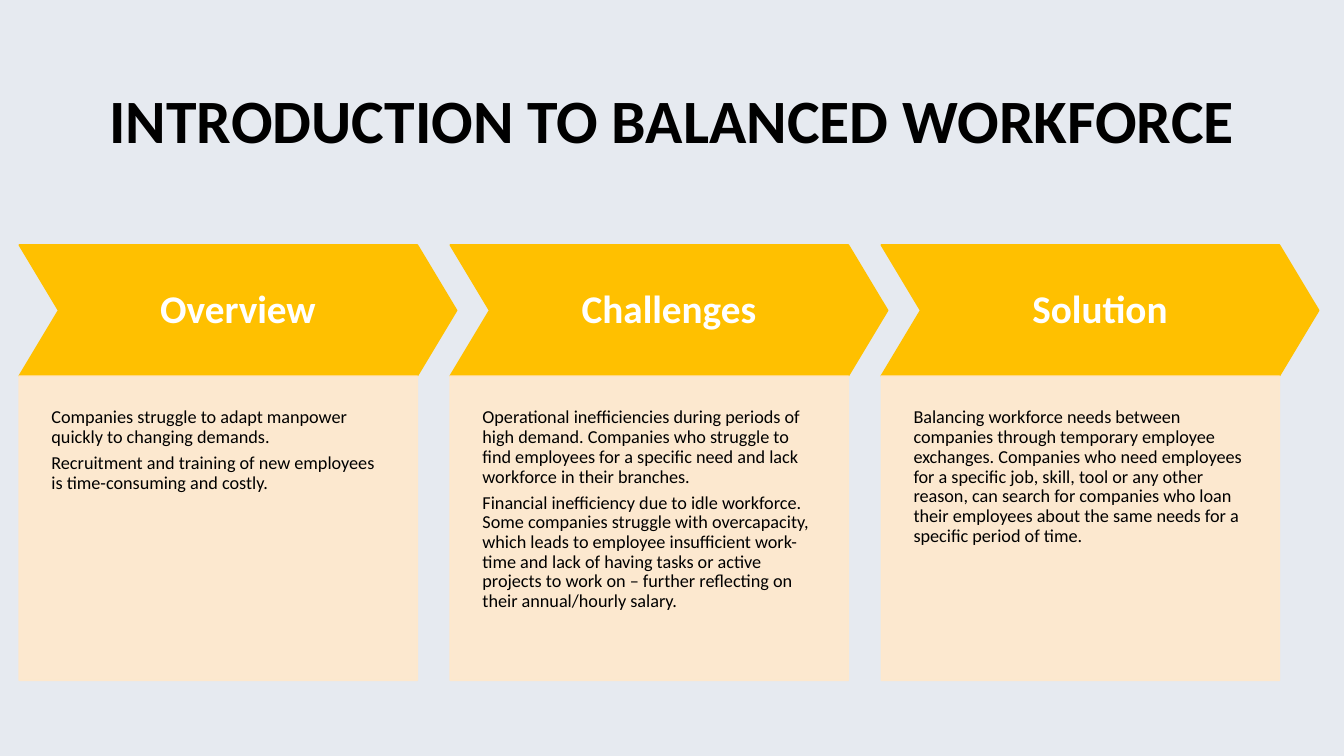
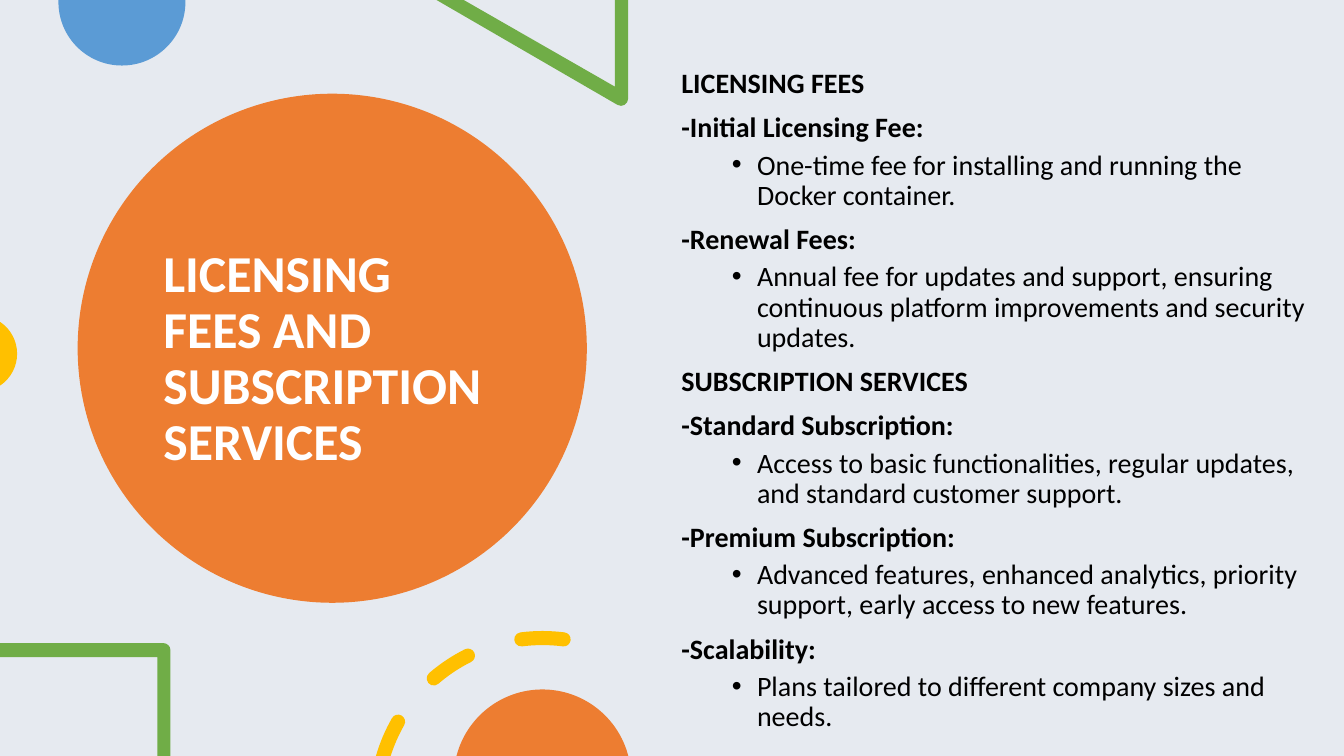
from math import ceil, cos, radians, sin, tan

from lxml.etree import SubElement
from pptx import Presentation
from pptx.dml.color import RGBColor
from pptx.enum.shapes import MSO_SHAPE as Preset
from pptx.enum.text import MSO_ANCHOR as Anchor, MSO_AUTO_SIZE as AutoSize, PP_ALIGN as Align
from pptx.oxml.ns import qn
from pptx.util import Inches, Pt

BACKGROUND = RGBColor(0xE6, 0xEA, 0xF0)
BLACK = RGBColor(0x00, 0x00, 0x00)
WHITE = RGBColor(0xFF, 0xFF, 0xFF)
GOLD = RGBColor(0xFF, 0xC0, 0x00)
CREAM = RGBColor(0xFF, 0xE8, 0xCC)
ORANGE = RGBColor(0xED, 0x7D, 0x31)
BLUE = RGBColor(0x5B, 0x9B, 0xD5)
GREEN = RGBColor(0x70, 0xAD, 0x47)
FONT = "Calibri"
LINE_SPACING = 0.9

STAGES = [
    ("Overview", [
        "Companies struggle to adapt manpower quickly to changing demands.",
        "Recruitment and training of new employees is time-consuming and costly.",
    ]),
    ("Challenges", [
        "Operational inefficiencies during periods of high demand. Companies who struggle to find "
        "employees for a specific need and lack workforce in their branches.",
        "Financial inefficiency due to idle workforce. Some companies struggle with overcapacity, "
        "which leads to employee insufficient work-time and lack of having tasks or active projects "
        "to work on – further reflecting on their annual/hourly salary.",
    ]),
    ("Solution", [
        "Balancing workforce needs between companies through temporary employee exchanges. "
        "Companies who need employees for a specific job, skill, tool or any other reason, can "
        "search for companies who loan their employees about the same needs for a specific period "
        "of time.",
    ]),
]

FEES = [
    ("LICENSING FEES", [
        ("-Initial Licensing Fee:", "One-time fee for installing and running the Docker container."),
        ("-Renewal Fees:", "Annual fee for updates and support, ensuring continuous platform "
                           "improvements and security updates."),
    ]),
    ("SUBSCRIPTION SERVICES", [
        ("-Standard Subscription:", "Access to basic functionalities, regular updates, and standard "
                                    "customer support."),
        ("-Premium Subscription:", "Advanced features, enhanced analytics, priority support, early "
                                   "access to new features."),
        ("-Scalability:", "Plans tailored to different company sizes and needs."),
    ]),
]


def style_paragraph(para, size, color, bold=False, align=Align.LEFT):
    """Give a paragraph the deck's font and line spacing."""
    para.alignment = align
    para.line_spacing = LINE_SPACING
    font = para.font
    font.name, font.size, font.bold = FONT, Pt(size), bold
    font.color.rgb = color


def next_paragraph(frame, text, space_before):
    """Append a paragraph, using the frame's empty first one if it is free."""
    para = frame.paragraphs[0]
    if para.text:
        para = frame.add_paragraph()
        para.space_before = Pt(space_before)
    para.text = text
    return para


def add_title(page, text, bounds, size, color, align=Align.LEFT):
    """Fill the title placeholder and bring it to the front."""
    title = page.shapes.title
    title.left, title.top, title.width, title.height = map(Inches, bounds)
    title.element.getparent().append(title.element)
    frame = title.text_frame
    frame.text = text
    frame.word_wrap = True
    frame.auto_size = AutoSize.NONE
    frame.vertical_anchor = Anchor.MIDDLE
    style_paragraph(frame.paragraphs[0], size, color, True, align)


def paint(shape, color, outlined=False):
    """Fill a shape flatly, with a matching outline on request."""
    shape.shadow.inherit = False
    shape.fill.solid()
    shape.fill.fore_color.rgb = color
    if outlined:
        shape.line.color.rgb = color
        shape.line.width = Pt(1)
    else:
        shape.line.fill.background()


def add_preset(page, preset, bounds, color, outlined=False):
    """Add a painted preset shape."""
    shape = page.shapes.add_shape(preset, *map(Inches, bounds))
    paint(shape, color, outlined)
    return shape


def set_opacity(shape, percent):
    """Make the fill and outline of a shape partly transparent."""
    for color in shape.element.spPr.iter(qn("a:srgbClr")):
        SubElement(color, qn("a:alpha"), val=str(percent * 1000))


def set_insets(frame, left, top, right, bottom):
    """Set the margins of a wrapped text frame."""
    frame.word_wrap = True
    frame.margin_left, frame.margin_top = Inches(left), Inches(top)
    frame.margin_right, frame.margin_bottom = Inches(right), Inches(bottom)


def add_stage(page, left, heading, texts):
    """Add a chevron heading with its text panel below."""
    chevron = add_preset(page, Preset.CHEVRON, (left, 2.43, 4.34, 1.3), GOLD, True)
    chevron.adjustments[0] = 0.3
    frame = chevron.text_frame
    set_insets(frame, 0.16, 0.16, 0.16, 0.16)
    frame.vertical_anchor = Anchor.MIDDLE
    frame.text = heading
    style_paragraph(frame.paragraphs[0], 28, WHITE, True, Align.CENTER)

    panel = add_preset(page, Preset.RECTANGLE, (left, 3.73, 3.95, 3.02), CREAM, True)
    set_opacity(panel, 90)
    frame = panel.text_frame
    set_insets(frame, 0.32, 0.32, 0.31, 0.62)
    frame.vertical_anchor = Anchor.TOP
    for text in texts:
        style_paragraph(next_paragraph(frame, text, 4.5), 13, BLACK)


def arc(x, y, radius, start, end):
    """Return a start point and Bézier triples; degrees run clockwise from the right."""
    pieces = ceil(abs(end - start) / 90)
    turn = radians(end - start) / pieces
    reach = radius * 4 / 3 * tan(turn / 4)

    def on_circle(angle, offset=0):
        """Return a circle point, moved along its tangent by an offset."""
        return (x + radius * cos(angle) - offset * sin(angle),
                y + radius * sin(angle) + offset * cos(angle))

    angles = [radians(start) + turn * piece for piece in range(pieces + 1)]
    return [on_circle(angles[0])] + [
        (on_circle(here, reach), on_circle(there, -reach), on_circle(there))
        for here, there in zip(angles, angles[1:])]


def add_outline(page, color, *contours):
    """Add one painted freeform; each step is a point or a Bézier triple."""
    def scaled(point):
        """Convert a point from inches."""
        return tuple(map(Inches, point))

    builder = page.shapes.build_freeform(*scaled(contours[0][0]), scale=1.0)
    curved = []
    for index, (first, *steps) in enumerate(contours):
        if index:
            builder.move_to(*scaled(first))
        points = []
        for step in steps:
            curved.append(len(step) == 3)
            points += map(scaled, step if curved[-1] else [step])
        builder.add_line_segments(points, close=True)
    shape = builder.convert_to_shape()
    segments = iter(list(shape.element.iter(qn("a:lnTo"))))
    for is_curve in curved:
        segment = next(segments)
        if is_curve:
            segment.tag = qn("a:cubicBezTo")
            for follower in (next(segments), next(segments)):
                segment.extend(list(follower))
                follower.getparent().remove(follower)
    paint(shape, color)


def ring_dash(start, end, clipped_start=None):
    """Outline a round-capped dash of the ring, or cut its start at the slide edge."""
    x, y, radius, half = 5.38, 7.98, 1.65, 0.07

    def cap(angle, turn):
        """Return the curves that round off one end."""
        center = (x + radius * cos(radians(angle)), y + radius * sin(radians(angle)))
        return arc(*center, half, turn, turn + 180)[1:]

    inner_start = start if clipped_start is None else clipped_start
    steps = arc(x, y, radius + half, start, end) + cap(end, end)
    steps += arc(x, y, radius - half, end, inner_start)[1:]
    if clipped_start is None:
        steps += cap(start, start + 180)
    return steps


def add_decorations(page):
    """Add the shapes that run in from the slide edges."""
    add_outline(page, BLUE, [(1.84, 0), (0.58, 0)] + arc(1.21, 0.02, 0.63, 180, 0))
    add_outline(page, GREEN, [(6.23, 0), (6.1, 0), (6.1, 0.86), (4.6, 0), (4.33, 0)]
                + arc(6.16, 0.98, 0.07, 120, 0))
    add_outline(page, GOLD, arc(-0.21, 3.51, 0.38, -56, 56))
    add_outline(page, GREEN, [(0, 6.38), (0, 6.52), (1.56, 6.52), (1.56, 7.5), (1.69, 7.5)]
                + arc(1.62, 6.45, 0.07, 0, -90))
    add_outline(page, GOLD, ring_dash(196.2, 209.8, 197.7), ring_dash(229.2, 243.4),
                ring_dash(262.7, 277.3))
    add_outline(page, ORANGE, arc(5.38, 7.72, 0.88, 194.5, 345.5))


def add_bullet(para):
    """Indent a paragraph and hang a round bullet on it."""
    properties = para._p.get_or_add_pPr()
    properties.set("marL", str(Inches(0.75)))
    properties.set("indent", str(Inches(-0.25)))
    SubElement(properties, qn("a:buFont"), typeface="Arial")
    SubElement(properties, qn("a:buChar"), char="•")


def add_fees(page):
    """Add the list of fee groups with their bulleted details."""
    box = page.shapes.add_textbox(Inches(6.66), Inches(0.64), Inches(6.41), Inches(6.86))
    frame = box.text_frame
    frame.word_wrap = True
    for group, items in FEES:
        style_paragraph(next_paragraph(frame, group, 10), 20, BLACK, True)
        for name, detail in items:
            style_paragraph(next_paragraph(frame, name, 10), 20, BLACK, True)
            para = next_paragraph(frame, detail, 5)
            para.level = 1
            add_bullet(para)
            style_paragraph(para, 20, BLACK)


def build_introduction(page):
    """Build the slide with the three stages."""
    add_title(page, "INTRODUCTION TO BALANCED WORKFORCE", (0.92, 0.61, 11.5, 1.24), 44, BLACK,
              Align.CENTER)
    first, last = 0.19, 8.74
    pitch = (last - first) / (len(STAGES) - 1)
    for index, (heading, texts) in enumerate(STAGES):
        add_stage(page, first + index * pitch, heading, texts)


def build_licensing(page):
    """Build the slide with the title disc and the fee list."""
    add_preset(page, Preset.OVAL, (0.77, 0.93, 5.05, 5.05), ORANGE)
    add_decorations(page)
    add_title(page, "LICENSING FEES AND SUBSCRIPTION SERVICES", (1.52, 1.34, 3.54, 4.45), 37, WHITE)
    add_fees(page)


def main():
    """Build and save the deck."""
    deck = Presentation()
    deck.slide_width, deck.slide_height = Inches(13.33), Inches(7.5)
    fill = deck.slide_master.background.fill
    fill.solid()
    fill.fore_color.rgb = BACKGROUND
    title_only = deck.slide_layouts.get_by_name("Title Only")
    for build in (build_introduction, build_licensing):
        build(deck.slides.add_slide(title_only))
    deck.save("out.pptx")


if __name__ == "__main__":
    main()
